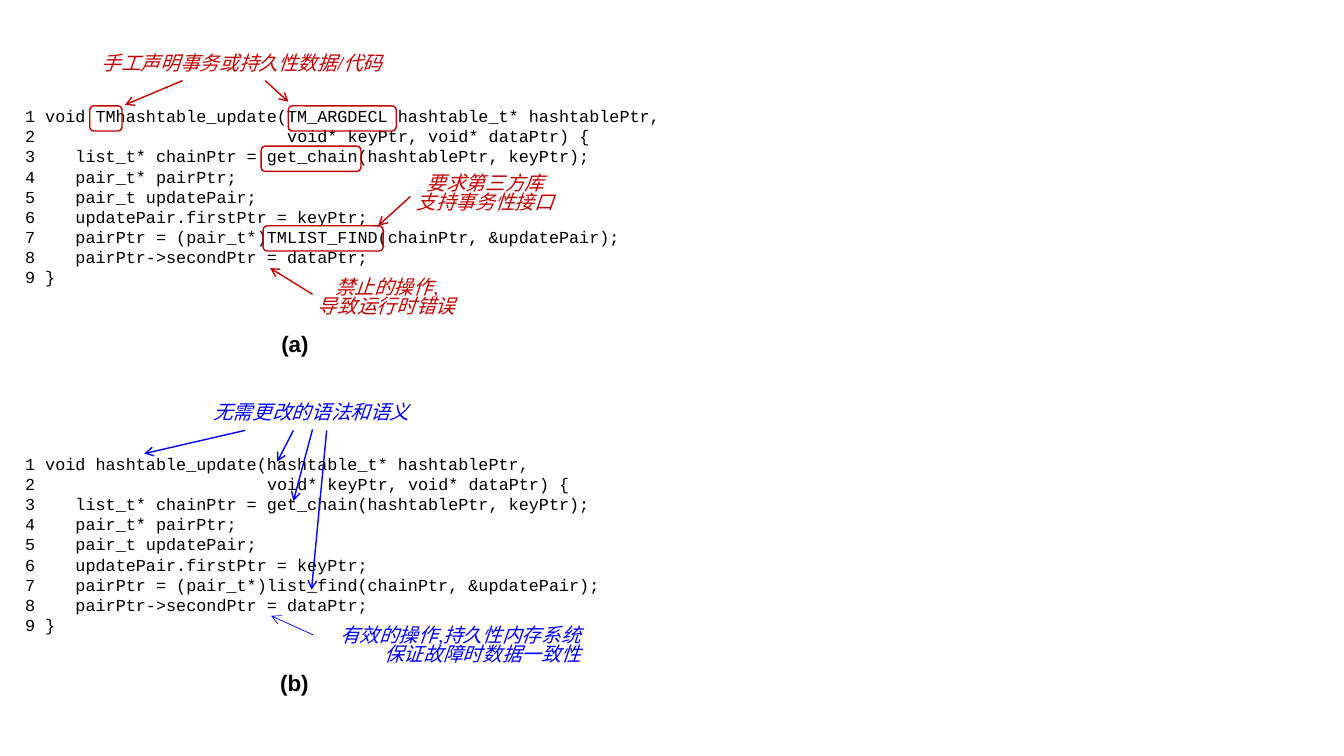
"""Two annotated code listings, stacked on the left half of a slide."""
from copy import deepcopy

from lxml.etree import SubElement
from pptx import Presentation
from pptx.dml.color import RGBColor
from pptx.enum.shapes import MSO_CONNECTOR, MSO_SHAPE
from pptx.enum.text import PP_ALIGN
from pptx.oxml.ns import qn
from pptx.util import Inches, Pt

COLOURS = {"red": "C00000", "blue": "0000FF", "ink": "000000"}
COL, ROW = 0.1, 0.2
CODE = {"name": "Courier New", "size": Pt(12)}
NOTE = {"name": "Times New Roman", "size": Pt(14), "italic": True}
CAPTION = {"name": "Arial", "size": Pt(16), "bold": True}
CENTER, RIGHT = PP_ALIGN.CENTER, PP_ALIGN.RIGHT


def rgb(colour):
    """Look up a named colour."""
    return RGBColor.from_string(COLOURS[colour])


def place(box, x, y):
    """Turn a grid position inside the box into slide lengths."""
    return Inches((box[0] + x) * COL), Inches((box[1] + y) * ROW)


def add_text(s, box, cell, paragraphs, font, colour, **layout):
    """Add a text box and return its text frame."""
    x, y, w, h = cell
    sp = s.shapes.add_textbox(*place(box, x, y), Inches(w * COL), Inches(h * ROW))
    tf = sp.text_frame
    tf.word_wrap = True
    for i, text in enumerate(paragraphs):
        p = tf.paragraphs[0] if i == 0 else tf.add_paragraph()
        p.text = text
        for name, value in layout.items():
            setattr(p, name, value)
        for r in p.runs:
            for name, value in font.items():
                setattr(r.font, name, value)
            r.font.color.rgb = rgb(colour)
        for br in p._p.findall(qn("a:br")):
            br.append(deepcopy(p.runs[0]._r.rPr))
    return tf


def add_code(s, box, cell, lines):
    """Add numbered code, each line tabbed to its own column."""
    numbered = [f"{n}\t{text}" for n, (_, text) in enumerate(lines, 1)]
    tf = add_text(s, box, cell, numbered, CODE, "ink", line_spacing=Inches(ROW))
    for p, (column, _) in zip(tf.paragraphs, lines):
        tabs = SubElement(p._p.get_or_add_pPr(), qn("a:tabLst"))
        SubElement(tabs, qn("a:tab"), pos=str(Inches(column * COL)), algn="l")


def add_frame(s, box, x, y, w, colour):
    """Outline one identifier with a rounded rectangle."""
    sp = s.shapes.add_shape(MSO_SHAPE.ROUNDED_RECTANGLE, *place(box, x, y),
                            Inches(w * COL), Inches(1.25 * ROW))
    sp.shadow.inherit = False
    sp.fill.background()
    sp.line.color.rgb = rgb(colour)
    sp.line.width = Pt(1)


def add_arrow(s, box, start, end, colour, width=1):
    """Draw an arrow with an open head."""
    sp = s.shapes.add_connector(MSO_CONNECTOR.STRAIGHT,
                                *place(box, *start), *place(box, *end))
    sp.line.color.rgb = rgb(colour)
    sp.line.width = Pt(width)
    SubElement(sp.line._get_or_add_ln(), qn("a:tailEnd"), type="arrow")
    SubElement(sp._element.spPr, qn("a:effectLst"))


def add_panel(s, box, panel):
    """Place one listing with its notes, frames, arrows and caption."""
    colour = panel["colour"]
    add_code(s, box, panel["code_cell"], panel["code"])
    for cell, text, layout in panel["notes"]:
        add_text(s, box, cell, [text], NOTE, colour, **layout)
    for frame in panel["frames"]:
        add_frame(s, box, *frame, colour)
    for start, end, *width in panel["arrows"]:
        add_arrow(s, box, start, end, colour, *width)
    cell, text = panel["caption"]
    add_text(s, box, cell, [text], CAPTION, "ink", alignment=CENTER)


def update_code(signature, parameter_column, find):
    """Return the update function as (column, text) lines."""
    return [
        (2, signature),
        (parameter_column, "void* keyPtr, void* dataPtr) {"),
        (5, "list_t* chainPtr = get_chain(hashtablePtr, keyPtr);"),
        (5, "pair_t* pairPtr;"),
        (5, "pair_t updatePair;"),
        (5, "updatePair.firstPtr = keyPtr;"),
        (5, f"pairPtr = (pair_t*){find}(chainPtr, &updatePair);"),
        (5, "pairPtr->secondPtr = dataPtr;"),
        (2, "}"),
    ]


MANUAL = {
    "colour": "red",
    "code_cell": (1.5, 5, 73.2, 9.6),
    "code": update_code(
        "void TMhashtable_update(TM_ARGDECL hashtable_t* hashtablePtr,",
        26, "TMLIST_FIND"),
    "notes": [
        ((0.7, 2.3, 46.6, 1.7), "手工声明事务或持久性数据/代码", {"alignment": CENTER}),
        ((36.7, 8.45, 22.9, 2.4), "要求第三方库\v支持事务性接口",
         {"alignment": CENTER, "line_spacing": 0.8}),
        ((25.3, 13.6, 26.1, 2.4), "禁止的操作,\v导致运行时错误".replace(",", ","),
         {"alignment": CENTER, "line_spacing": 0.8}),
    ],
    "frames": [(8.9, 5.25, 3.2), (28.6, 5.25, 10.7),
               (25.9, 7.25, 9.9), (26.1, 11.2, 11.9)],
    "arrows": [((18.1, 4), (12.4, 5.2)), ((26.3, 4), (28.6, 5.05)),
               ((40.7, 9.75), (37.5, 11.2)), ((31, 14.6), (26.8, 13.3))],
    "caption": ((24.3, 16.15, 9.9, 1.85), "(a)"),
}
AUTOMATIC = {
    "colour": "blue",
    "code_cell": (1.5, 5, 61.1, 10.6),
    "code": update_code("void hashtable_update(hashtable_t* hashtablePtr,",
                        24, "list_find"),
    "notes": [
        ((4.1, 2.35, 53.6, 1.7), "无需更改的语法和语义", {"alignment": CENTER}),
        ((16.5, 13.65, 42.1, 2.4), "有效的操作,持久性内存系统\v保证故障时数据一致性".replace(",", ","),
         {"alignment": RIGHT, "line_spacing": 0.8}),
    ],
    "frames": [],
    "arrows": [((24.3, 4.1), (14.3, 5.25)), ((29.1, 4.1), (27.5, 5.65)),
               ((31, 4.05), (29.1, 7.6)), ((32.4, 4.1), (30.9, 12)),
               ((31.1, 14.25), (26.9, 13.3), 0.5)],
    "caption": ((14.2, 15.7, 30, 1.85), "(b)"),
}

prs = Presentation()
prs.slide_width, prs.slide_height = Inches(13.33), Inches(7.5)
s = prs.slides.add_slide(prs.slide_layouts[6])
for box, panel in (((0, 0), MANUAL), ((0, 17.25), AUTOMATIC)):
    add_panel(s, box, panel)
prs.save("out.pptx")
